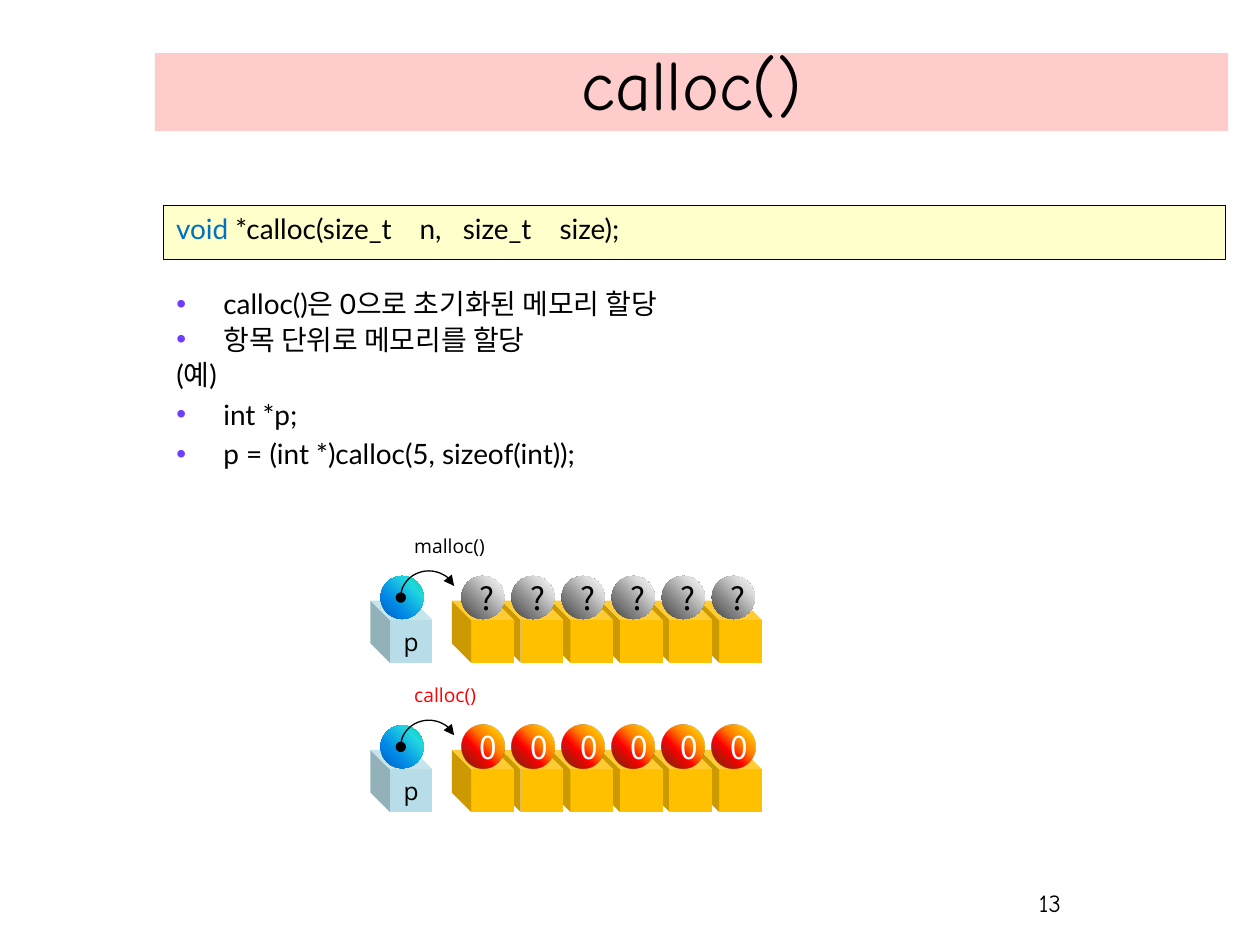
"""Build the calloc() slide, which compares malloc() and calloc() memory."""
from lxml import etree
from pptx import Presentation
from pptx.dml.color import RGBColor
from pptx.enum.shapes import MSO_SHAPE
from pptx.enum.text import MSO_ANCHOR, MSO_AUTO_SIZE, PP_ALIGN
from pptx.oxml import parse_xml
from pptx.oxml.ns import nsdecls, qn
from pptx.util import Cm, Pt

HUES = {
    "black": "000000", "white": "FFFFFF", "red": "FF0000", "blue": "0070C0",
    "pink": "FFCCCC", "cream": "FFFFCC", "violet": "703DFF",
    "ice": "B7DEE8", "gold": "FFC000",
}
BALLS = {
    "sea": [(0, "03D4A8", 100), (25, "21D6E0", 100), (68, "0087E6", 100), (100, "005CBF", 100)],
    "gray": [(0, "FFFFFF", 100), (25, "D9D9D9", 100), (68, "808080", 100), (100, "404040", 100)],
    "fire": [(0, "FFF200", 100), (40, "FF7A00", 100), (60, "FF0300", 100), (100, "4D0808", 80)],
}


def write(para, text, size=16, font="Lato", hue="black", align=None):
    run = para.add_run()
    run.text = text
    run.font.size = Pt(size)
    run.font.name = font
    run.font.color.rgb = RGBColor.from_string(HUES[hue])
    if align is not None:
        para.alignment = align


def draw(kind, left, top, wide, high, fill=None):
    shape = slide.shapes.add_shape(kind, Cm(left), Cm(top), Cm(wide), Cm(high))
    shape.shadow.inherit = False
    shape.line.fill.background()
    if fill in BALLS:
        stops = "".join(
            f'<a:gs pos="{pos * 1000}"><a:srgbClr val="{hue}">'
            f'<a:alpha val="{alpha * 1000}"/></a:srgbClr></a:gs>'
            for pos, hue, alpha in BALLS[fill])
        shape.element.spPr.insert(2, parse_xml(
            f'<a:gradFill {nsdecls("a")} rotWithShape="1"><a:gsLst>{stops}</a:gsLst>'
            '<a:path path="circle"><a:fillToRect l="100000" b="100000"/></a:path></a:gradFill>'))
    elif fill:
        shape.fill.solid()
        shape.fill.fore_color.rgb = RGBColor.from_string(HUES[fill])
    else:
        shape.fill.background()
    if kind == MSO_SHAPE.CUBE:
        shape.adjustments[0] = 0.311
        shape.element.spPr.xfrm.set("flipH", "1")
    return shape


deck = Presentation()
deck.slide_width, deck.slide_height = Cm(25.4), Cm(19.05)
slide = deck.slides.add_slide(deck.slide_layouts[1])

title, body = slide.placeholders
title.left, title.top, title.width, title.height = Cm(3.12), Cm(1.07), Cm(21.64), Cm(1.57)
title.fill.solid()
title.fill.fore_color.rgb = RGBColor.from_string(HUES["pink"])
title.text_frame.auto_size = MSO_AUTO_SIZE.NONE
title.text_frame.vertical_anchor = MSO_ANCHOR.BOTTOM
write(title.text_frame.paragraphs[0], "calloc()", size=40, font="Comic Neue", align=PP_ALIGN.CENTER)

code = draw(MSO_SHAPE.RECTANGLE, 3.3, 4.14, 21.41, 1.09, "cream")
code.line.color.rgb = RGBColor.from_string(HUES["black"])
code.line.width = Pt(0.33)
code.text_frame.vertical_anchor = MSO_ANCHOR.TOP
para = code.text_frame.paragraphs[0]
write(para, "void", hue="blue", align=PP_ALIGN.LEFT)
write(para, " *calloc(size_t\tn,\tsize_t\tsize);")
tabs = etree.SubElement(para._p.get_or_add_pPr(), qn("a:tabLst"))
for stop in (4.91, 5.78, 7.73):
    etree.SubElement(tabs, qn("a:tab"), pos=str(Cm(stop)), algn="l")

body.left, body.top, body.width, body.height = Cm(3.3), Cm(5.72), Cm(20.4), Cm(4.6)
frame = body.text_frame
frame.auto_size = MSO_AUTO_SIZE.NONE
items = [
    ("calloc()은 0으로 초기화된 메모리 할당", 0.9, True),
    ("항목 단위로 메모리를 할당", 0.9, True),
    ("(예)", 0.9, False),
    ("int *p;", 1.0, True),
    ("p = (int *)calloc(5, sizeof(int));", 1.0, True),
]
for row, (text, space, mark) in enumerate(items):
    para = frame.add_paragraph() if row else frame.paragraphs[0]
    write(para, text)
    para.line_spacing = space
    props = para._p.get_or_add_pPr()
    props.set("marL", str(Cm(0.95)))
    props.set("indent", str(-Cm(0.95)))
    if mark:
        tint = etree.SubElement(props, qn("a:buClr"))
        etree.SubElement(tint, qn("a:srgbClr"), val=HUES["violet"])
        etree.SubElement(props, qn("a:buChar"), char="•")
    else:
        etree.SubElement(props, qn("a:buNone"))

rows = [("malloc()", "black", "gray", "?", "black"), ("calloc()", "red", "fire", "0", "white")]
for row, (name, hue, ball, sign, ink) in enumerate(rows):
    top = 10.64 + row * 3.01
    cube = draw(MSO_SHAPE.CUBE, 7.47, top + 1.47, 1.25, 1.25, "ice")
    cube.text_frame.vertical_anchor = MSO_ANCHOR.MIDDLE
    write(cube.text_frame.paragraphs[0], "p", size=14, font="Open Sans", align=PP_ALIGN.CENTER)
    for cell in reversed(range(6)):
        draw(MSO_SHAPE.CUBE, 9.11 + cell, top + 1.47, 1.25, 1.25, "gold")
    for cell in reversed(range(6)):
        orb = draw(MSO_SHAPE.OVAL, 9.3 + cell * 1.01, top + 0.97, 0.87, 0.87, ball)
        orb.text_frame.vertical_anchor = MSO_ANCHOR.MIDDLE
        write(orb.text_frame.paragraphs[0], sign, size=18, font="Noto Sans CJK KR",
              hue=ink, align=PP_ALIGN.CENTER)
    draw(MSO_SHAPE.OVAL, 7.67, top + 0.97, 0.87, 0.87, "sea")
    arc = draw(MSO_SHAPE.ARC, 8.08, top + 0.87, 1.13, 1.06)
    arc.adjustments[0], arc.adjustments[1] = 107.54, 201.67
    arc.line.color.rgb = RGBColor.from_string(HUES["black"])
    arc.line.width = Pt(0.75)
    for end, tip in (("a:headEnd", "oval"), ("a:tailEnd", "triangle")):
        etree.SubElement(arc.line._get_or_add_ln(), qn(end), type=tip)
    label = slide.shapes.add_textbox(Cm(8.1), Cm(top), Cm(2.06), Cm(0.74))
    label.text_frame.word_wrap = True
    write(label.text_frame.paragraphs[0], name, size=11, font="Open Sans", hue=hue)

page = slide.shapes.add_textbox(Cm(16.36), Cm(17.78), Cm(5.28), Cm(1.27))
page.text_frame.word_wrap = True
write(page.text_frame.paragraphs[0], "13", size=14, font="Comic Neue", align=PP_ALIGN.RIGHT)

deck.save("out.pptx")
